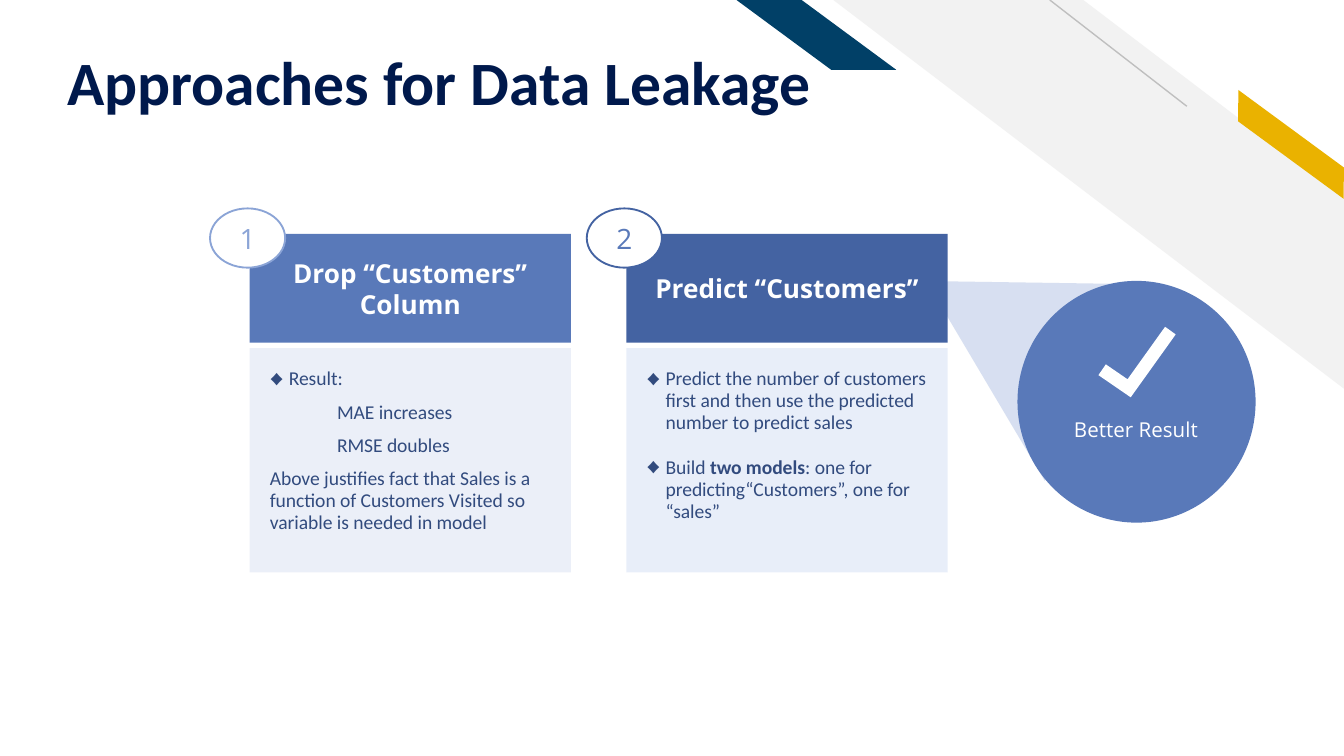
from lxml.etree import SubElement
from pptx import Presentation
from pptx.dml.color import RGBColor
from pptx.enum.shapes import MSO_CONNECTOR, MSO_SHAPE
from pptx.enum.text import MSO_ANCHOR, PP_ALIGN
from pptx.oxml.ns import qn
from pptx.util import Cm, Pt

LINE = MSO_CONNECTOR.STRAIGHT
RECT, OVAL = MSO_SHAPE.RECTANGLE, MSO_SHAPE.OVAL
STRIPE, SLANT = MSO_SHAPE.DIAGONAL_STRIPE, MSO_SHAPE.PARALLELOGRAM
BEAM = MSO_SHAPE.TRAPEZOID
TOP, MIDDLE = MSO_ANCHOR.TOP, MSO_ANCHOR.MIDDLE
LEFT, CENTER = PP_ALIGN.LEFT, PP_ALIGN.CENTER

COLORS = {
    "navy": "00194C", "ink": "324B7E", "white": "FFFFFF", "band": "F2F2F2",
    "gray": "BFBFBF", "gold": "EAB200", "teal": "014067", "pale": "8BA4D6",
    "sky": "8EABE5", "blue": "5979B9", "deep": "4463A2",
}


class Deck:
    """Holds the style and the current slide, and draws each kind of element."""

    def __init__(self, wide, high):
        self.prs = Presentation()
        self.prs.slide_width, self.prs.slide_height = Cm(wide), Cm(high)
        self.slide = self.prs.slides.add_slide(self.prs.slide_layouts[6])
        self.shapes = self.slide.shapes

    def color(self, name):
        return RGBColor.from_string(COLORS[name])

    def shape(self, kind, box, fill, alpha=None, line=None, adj=None, turn=0, flip=False):
        shape = self.shapes.add_shape(kind, *map(Cm, box))
        shape.shadow.inherit = False
        shape.fill.solid()
        shape.fill.fore_color.rgb = self.color(fill)
        if alpha:
            tint = shape._element.spPr.find(qn("a:solidFill"))[0]
            SubElement(tint, qn("a:alpha"), val=str(alpha * 1000))
        if line:
            shape.line.color.rgb = self.color(line)
            shape.line.width = Pt(1)
        else:
            shape.line.fill.background()
        if adj:
            shape.adjustments[0] = adj
        if flip:
            shape._element.spPr.xfrm.set("flipH", "1")
        shape.rotation = turn
        return shape

    def line(self, start, end, color, width):
        line = self.shapes.add_connector(LINE, *map(Cm, start + end))
        line.line.color.rgb = self.color(color)
        line.line.width = Pt(width)
        SubElement(line._element.spPr, qn("a:effectLst"))

    def tick(self, points, color, width):
        first, *rest = [(Cm(x), Cm(y)) for x, y in points]
        path = self.shapes.build_freeform(*first)
        path.add_line_segments(rest, close=False)
        tick = path.convert_to_shape()
        tick.shadow.inherit = False
        tick.fill.background()
        tick.line.color.rgb = self.color(color)
        tick.line.width = Pt(width)
        SubElement(tick._element.spPr.find(qn("a:ln")), qn("a:miter"), lim="800000")

    def frame(self, shape, pad, anchor):
        frame = shape.text_frame
        frame.word_wrap = True
        frame.vertical_anchor = anchor
        frame.margin_left = frame.margin_right = Cm(pad[0])
        frame.margin_top = frame.margin_bottom = Cm(pad[1])
        return frame

    def style(self, para, font, size, color):
        for run in para.runs:
            run.font.name, run.font.size = font, Pt(size)
            run.font.color.rgb = self.color(color)

    def label(self, shape, text, font, size, color, pad=(0.25, 0.13),
              anchor=MIDDLE, align=CENTER, bold=False):
        frame = self.frame(shape, pad, anchor)
        frame.text = text
        para = frame.paragraphs[0]
        para.alignment = align
        self.style(para, font, size, color)
        para.runs[0].font.bold = bold

    def title(self, box, text):
        shape = self.shapes.add_textbox(*map(Cm, box))
        self.label(shape, text, "Calibri", 33, "navy", (0.18, 0.1), align=LEFT, bold=True)
        shape.text_frame.paragraphs[0].line_spacing = 0.9

    def bullet(self, para, color):
        props = para._p.get_or_add_pPr()
        props.set("marL", str(Cm(0.36)))
        props.set("indent", str(-Cm(0.36)))
        tint = SubElement(props, qn("a:buClr"))
        SubElement(tint, qn("a:srgbClr"), val=COLORS[color])
        SubElement(props, qn("a:buSzPct"), val="70000")
        SubElement(props, qn("a:buFont"), typeface="Calibri")
        SubElement(props, qn("a:buChar"), char="♦")

    def body(self, shape, items, gap):
        frame = self.frame(shape, (0.38, 0.38), TOP)
        for i, (kind, text) in enumerate(items):
            para = frame.add_paragraph() if i else frame.paragraphs[0]
            para.alignment = LEFT
            para.line_spacing = 0.94
            if i:
                para.space_before = Pt(gap)
            if kind == "bullet":
                self.bullet(para, "ink")
            elif kind == "inset":
                para._p.get_or_add_pPr().set("marL", str(Cm(1.27)))
            for j, part in enumerate(text.split("*")):
                run = para.add_run()
                run.text = part
                run.font.bold = j % 2 == 1
            self.style(para, "Calibri", 10.5, "ink")

    def card(self, left, num, head, fill, tint, alpha, edge, items, gap):
        self.body(self.shape(RECT, (left, 6.58, 6.07, 4.24), tint, alpha), items, gap)
        top = self.shape(RECT, (left, 4.42, 6.07, 2.06), fill)
        self.label(top, head, "Open Sans", 14, "white", (0.51, 0.25), bold=True)
        badge = self.shape(OVAL, (left - 0.75, 3.94, 1.42, 1.12), "white", line=edge)
        self.label(badge, str(num), "Open Sans", 15, "pale" if num == 1 else "blue")


def main():
    deck = Deck(25.4, 14.29)
    deck.shape(STRIPE, (15.75, 0, 9.68, 7.37), "band", adj=0.512, flip=True)
    deck.line((22.43, 2.01), (19.84, 0), "gray", 0.75)
    deck.shape(SLANT, (22.99, 2.49, 2.82, 0.48), "gold", adj=0.72, turn=36.3, flip=True)
    deck.shape(SLANT, (13.92, 0, 3.02, 1.32), "teal", adj=1.356, flip=True)
    deck.shape(BEAM, (17.17, 4.62, 4.29, 3.48), "pale", 34, adj=0.56, turn=300.1)
    deck.title((1.09, 0.43, 17.35, 2.39), "Approaches for Data Leakage")

    drop = [
        ("bullet", "Result:"),
        ("inset", "MAE increases"),
        ("inset", "RMSE doubles"),
        ("plain", "Above justifies fact that Sales is a function of Customers "
                  "Visited so variable is needed in model"),
    ]
    guess = [
        ("bullet", "Predict the number of customers first and then use the "
                   "predicted number to predict sales"),
        ("bullet", "Build *two models*: one for predicting“Customers”, one for “sales”"),
    ]
    deck.card(4.72, 1, "Drop “Customers” Column", "blue", "pale", 17, "pale", drop, 6)
    deck.card(11.84, 2, "Predict “Customers”", "deep", "sky", 20, "deep", guess, 12)

    deck.shape(OVAL, (19.23, 5.31, 4.5, 4.57), "blue")
    deck.tick([(22.12, 6.25), (21.34, 7.34), (20.83, 6.99)], "white", 7)
    note = deck.shape(RECT, (19.96, 7.75, 3.02, 1.02), "blue")
    deck.label(note, "Better Result", "Open Sans", 11, "white", anchor=TOP)
    deck.prs.save("out.pptx")


if __name__ == "__main__":
    main()
